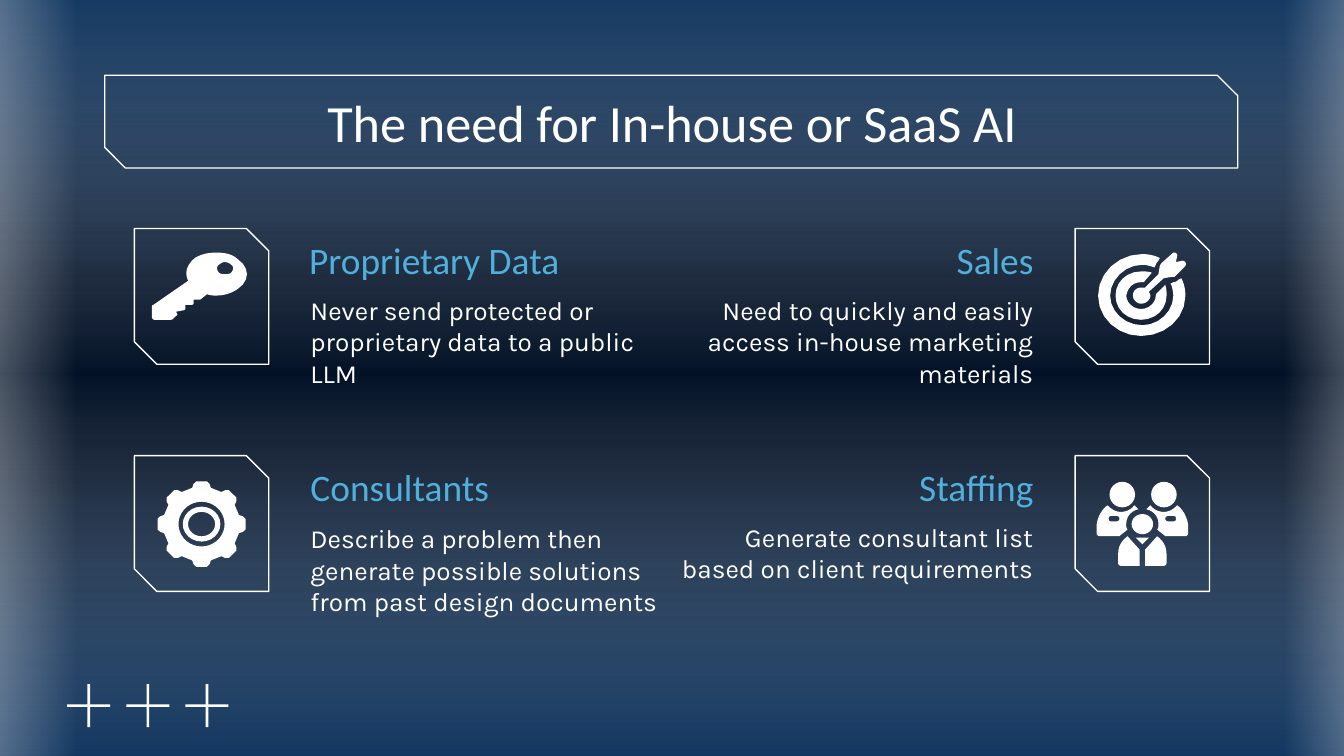
import math
from dataclasses import dataclass

import lxml.etree
import pptx
import pptx.dml.color
import pptx.enum.shapes
import pptx.enum.text
import pptx.oxml.ns
import pptx.util

Inches = pptx.util.Inches
SHAPE = pptx.enum.shapes.MSO_SHAPE
ANCHOR = pptx.enum.text.MSO_ANCHOR
ALIGN = pptx.enum.text.PP_ALIGN
qn = pptx.oxml.ns.qn


@dataclass(frozen=True)
class Theme:
    white: str = "FFFFFF"
    navy: str = "10355F"
    midnight: str = "031126"
    sky: str = "51AFDB"
    heading_font: str = "Calibri"
    body_font: str = "Karla"
    title_size: int = 28
    heading_size: int = 20
    body_size: int = 14


THEME = Theme()

KEY = """M 1.67 1.95 C 1.69 1.95 1.71 1.96 1.72 1.97 C 1.74 1.98 1.74 2.01 1.72 2.03
C 1.71 2.04 1.69 2.04 1.67 2.04 C 1.66 2.04 1.64 2.04 1.63 2.03
C 1.61 2.01 1.61 1.98 1.63 1.97 C 1.64 1.96 1.66 1.95 1.67 1.95
M 1.61 1.88 C 1.55 1.88 1.5 1.89 1.45 1.92 C 1.39 1.97 1.37 2.03 1.4 2.09
L 1.14 2.27 C 1.13 2.27 1.13 2.28 1.13 2.28 L 1.13 2.36 C 1.13 2.37 1.14 2.38 1.15 2.38
L 1.27 2.38 C 1.28 2.38 1.28 2.38 1.29 2.37 L 1.31 2.35 C 1.32 2.35 1.32 2.34 1.32 2.34
L 1.31 2.32 L 1.36 2.31 C 1.37 2.31 1.37 2.31 1.38 2.3 L 1.38 2.27 L 1.41 2.27
C 1.42 2.27 1.44 2.27 1.44 2.26 L 1.44 2.23 L 1.47 2.23 C 1.48 2.23 1.49 2.23 1.49 2.23
L 1.54 2.19 C 1.57 2.2 1.59 2.2 1.61 2.2 C 1.67 2.2 1.73 2.18 1.77 2.15
C 1.86 2.09 1.86 1.99 1.77 1.93 C 1.73 1.89 1.67 1.88 1.61 1.88"""

TARGET = (
    """M 8.74 1.88 C 8.74 1.88 8.73 1.88 8.73 1.88 L 8.64 1.96 C 8.64 1.97 8.63 1.97 8.63 1.98
L 8.62 2.04 L 8.52 2.14 C 8.51 2.14 8.5 2.14 8.49 2.14 C 8.46 2.14 8.43 2.16 8.43 2.2
C 8.43 2.23 8.46 2.26 8.49 2.26 C 8.53 2.26 8.56 2.23 8.56 2.2
C 8.56 2.19 8.55 2.18 8.55 2.17 L 8.66 2.07 L 8.72 2.06 C 8.73 2.06 8.73 2.06 8.74 2.06
L 8.82 1.98 C 8.83 1.96 8.82 1.94 8.8 1.94 L 8.75 1.95 L 8.76 1.9
C 8.76 1.89 8.75 1.88 8.74 1.88""",
    """M 8.49 2.02 C 8.38 2.02 8.3 2.1 8.3 2.2 C 8.3 2.3 8.38 2.38 8.49 2.38
C 8.6 2.38 8.68 2.3 8.68 2.2 C 8.68 2.17 8.68 2.15 8.67 2.12 L 8.6 2.19 L 8.6 2.2
C 8.6 2.25 8.55 2.3 8.49 2.3 C 8.43 2.3 8.38 2.25 8.38 2.2 C 8.39 2.14 8.43 2.1 8.49 2.1
C 8.5 2.1 8.5 2.1 8.51 2.1 L 8.57 2.03 C 8.55 2.02 8.52 2.02 8.49 2.02""",
    """M 8.5 1.89 C 8.32 1.89 8.17 2.03 8.17 2.2 C 8.17 2.37 8.32 2.5 8.49 2.5
C 8.67 2.5 8.82 2.37 8.82 2.2 C 8.82 2.15 8.81 2.11 8.79 2.07 L 8.77 2.08
C 8.76 2.09 8.75 2.1 8.73 2.1 L 8.71 2.11 C 8.72 2.13 8.73 2.17 8.73 2.2
C 8.73 2.32 8.62 2.42 8.5 2.42 C 8.37 2.42 8.26 2.32 8.26 2.2
C 8.26 2.08 8.37 1.97 8.5 1.97 C 8.53 1.97 8.56 1.98 8.59 1.99 L 8.6 1.97
C 8.6 1.96 8.61 1.95 8.62 1.94 L 8.63 1.92 C 8.59 1.9 8.54 1.89 8.5 1.89""",
)

COLLAR = "M 8.45 4 L 8.5 4.05 L 8.55 4 C 8.53 4 8.52 4 8.5 4 C 8.48 4 8.47 4 8.45 4"
JACKET = """M 8.61 3.99 L 8.52 4.09 L 8.52 4.21 L 8.66 4.21 C 8.67 4.21 8.68 4.2 8.68 4.19
L 8.68 4.12 C 8.68 4.06 8.65 4.02 8.61 3.99"""
SHOULDER = """M 8.73 3.84 C 8.75 3.84 8.75 3.85 8.75 3.86 C 8.75 3.87 8.75 3.88 8.73 3.88
L 8.69 3.88 C 8.68 3.88 8.67 3.87 8.67 3.86 C 8.67 3.85 8.68 3.84 8.69 3.84
M 8.76 3.76 C 8.73 3.79 8.7 3.81 8.66 3.81 C 8.62 3.81 8.58 3.79 8.56 3.76
C 8.55 3.77 8.54 3.78 8.53 3.79 C 8.58 3.8 8.62 3.84 8.62 3.9
C 8.62 3.92 8.62 3.93 8.61 3.94 C 8.63 3.96 8.65 3.97 8.67 3.99 L 8.82 3.99
C 8.83 3.99 8.84 3.98 8.84 3.97 L 8.84 3.9 C 8.83 3.84 8.8 3.79 8.76 3.76"""
FAMILY_AXIS = 8.5


def rgb(color):
    return pptx.dml.color.RGBColor.from_string(color)


def set_gradient(fill, owner, angle, stops):
    fill.gradient()
    fill.gradient_angle = angle
    stop_list = next(owner.iter(qn("a:gsLst")))
    for stop in list(stop_list):
        stop_list.remove(stop)
    for position, color, opacity in stops:
        stop = lxml.etree.SubElement(stop_list, qn("a:gs"), pos=str(position * 1000))
        tint = lxml.etree.SubElement(stop, qn("a:srgbClr"), val=color)
        lxml.etree.SubElement(tint, qn("a:alpha"), val=str(opacity * 1000))


def add_glow(slide, box, rotation, stops):
    glow = slide.shapes.add_shape(SHAPE.RECTANGLE, *map(Inches, box))
    glow.shadow.inherit = False
    glow.rotation = rotation
    glow.line.fill.background()
    set_gradient(glow.fill, glow.element, 180, stops)


def add_frame(slide, box, snip):
    frame = slide.shapes.add_shape(SHAPE.SNIP_2_DIAG_RECTANGLE, *map(Inches, box))
    frame.shadow.inherit = False
    frame.adjustments[0] = 0
    frame.adjustments[1] = snip
    frame.fill.background()
    frame.line.color.rgb = rgb(THEME.white)
    frame.line.width = pptx.util.Pt(0.75)


def paint_white(shape):
    shape.shadow.inherit = False
    shape.fill.solid()
    shape.fill.fore_color.rgb = rgb(THEME.white)
    shape.line.fill.background()


def add_solid(slide, kind, center_x, center_y, width, height):
    box = (center_x - width / 2, center_y - height / 2, width, height)
    solid = slide.shapes.add_shape(kind, *map(Inches, box))
    paint_white(solid)
    return solid


def trace(outline, steps=6):
    contours = []
    tokens = iter(outline.split())
    for command in tokens:
        count = 6 if command == "C" else 2
        values = [float(next(tokens)) for _ in range(count)]
        points = list(zip(values[::2], values[1::2]))
        if command == "M":
            contours.append(points)
        elif command == "L":
            contours[-1] += points
        else:
            curve = [contours[-1][-1], *points]
            for step in range(1, steps + 1):
                t = step / steps
                weights = [math.comb(3, i) * t**i * (1 - t) ** (3 - i) for i in range(4)]
                contours[-1].append(tuple(
                    sum(w * p[axis] for w, p in zip(weights, curve)) for axis in (0, 1)))
    return contours


def add_outline(slide, contours):
    contours = [[(Inches(x), Inches(y)) for x, y in contour] for contour in contours]
    builder = slide.shapes.build_freeform(*contours[0][0], scale=1.0)
    for index, contour in enumerate(contours):
        if index:
            builder.move_to(*contour[0])
        builder.add_line_segments(contour[1:], close=True)
    paint_white(builder.convert_to_shape())


def add_gear(slide, x, y):
    def around(angle, radius):
        turn = math.radians(angle)
        return x + 0.33 * radius * math.sin(turn), y - 0.32 * radius * math.cos(turn)

    tooth = [(-14, 0.87), (-11, 0.95), (-7, 1), (7, 1), (11, 0.95), (14, 0.87)]
    rim = [around(45 * k + angle, radius) for k in range(8) for angle, radius in tooth]
    hole = [around(angle, 0.52) for angle in range(0, 360, 10)]
    add_outline(slide, [rim, hole])
    hub = add_solid(slide, SHAPE.DONUT, x, y, 0.28, 0.26)
    hub.adjustments[0] = 0.15


def add_family(slide):
    add_solid(slide, SHAPE.OVAL, 8.5, 3.9, 0.16, 0.15)
    for head_x in (8.35, 8.66):
        add_solid(slide, SHAPE.OVAL, head_x, 3.68, 0.19, 0.19)
    add_outline(slide, trace(COLLAR))
    for outline in (JACKET, SHOULDER):
        right = trace(outline)
        left = [[(2 * FAMILY_AXIS - x, y) for x, y in contour] for contour in right]
        add_outline(slide, right)
        add_outline(slide, left)


def write(holder, box, text, size, color, font, align, anchor, side_inset=0):
    holder.left, holder.top, holder.width, holder.height = map(Inches, box)
    frame = holder.text_frame
    frame.word_wrap = True
    frame.auto_size = pptx.enum.text.MSO_AUTO_SIZE.NONE
    frame.vertical_anchor = anchor
    frame.margin_left = frame.margin_right = Inches(side_inset)
    frame.margin_top = frame.margin_bottom = Inches(0.1)
    frame.text = text
    line = frame.paragraphs[0]
    properties = line._p.get_or_add_pPr()
    properties.set("marL", "0")
    properties.set("indent", "0")
    lxml.etree.SubElement(properties, qn("a:buNone"))
    line.alignment = align
    line.space_before = pptx.util.Pt(0)
    line.font.size = pptx.util.Pt(size)
    line.font.bold = False
    line.font.name = font
    line.font.color.rgb = rgb(color)


def add_topic(slide, heading_holder, heading, heading_box, body, body_box, align):
    write(heading_holder, heading_box, heading, THEME.heading_size, THEME.sky,
          THEME.heading_font, align, ANCHOR.BOTTOM)
    body_holder = slide.shapes.add_textbox(*map(Inches, body_box))
    write(body_holder, body_box, body, THEME.body_size, THEME.white,
          THEME.body_font, align, ANCHOR.TOP)


def main():
    deck = pptx.Presentation()
    deck.slide_width = Inches(10)
    deck.slide_height = deck.slide_width * 9 // 16
    slide = deck.slides.add_slide(deck.slide_layouts[4])
    set_gradient(slide.background.fill, slide.element, 90, [
        (0, THEME.navy, 100), (37, THEME.midnight, 100),
        (63, THEME.midnight, 100), (100, THEME.navy, 100)])

    add_glow(slide, (2.2, -2.33, 5.81, 10.21), 270,
             [(0, THEME.navy, 59), (50, THEME.white, 0), (100, THEME.navy, 59)])
    edge = [(0, THEME.white, 47), (100, THEME.white, 0)]
    add_glow(slide, (-0.41, -0.09, 0.98, 5.8), 180, edge)
    add_glow(slide, (9.56, -0.13, 0.85, 5.8), 0, edge)

    add_frame(slide, (0.78, 0.56, 8.43, 0.69), 0.221)
    for left in (1, 8):
        for top in (1.7, 3.39):
            add_frame(slide, (left, top, 1, 1.01), 0.167)

    title = slide.shapes.title
    headings = [holder for holder in slide.placeholders if holder.placeholder_format.idx]
    for holder in [title, *headings]:
        slide.shapes._spTree.append(holder.element)
    write(title, (0.81, 0.59, 8.38, 0.63), "The need for In-house or SaaS AI",
          THEME.title_size, THEME.white, THEME.heading_font, ALIGN.CENTER, ANCHOR.MIDDLE, 0.1)
    topics = [
        ("Proprietary Data", (2.3, 1.7, 2.92, 0.5),
         "Never send protected or proprietary data to a public LLM",
         (2.31, 2.09, 2.53, 0.53), ALIGN.LEFT),
        ("Sales", (5.15, 1.7, 2.54, 0.5),
         "Need to quickly and easily access in-house marketing materials",
         (4.73, 2.09, 2.96, 0.83), ALIGN.RIGHT),
        ("Consultants", (2.31, 3.39, 2.84, 0.5),
         "Describe a problem then generate possible solutions from past design documents",
         (2.31, 3.79, 2.69, 0.83), ALIGN.LEFT),
        ("Staffing", (4.62, 3.39, 3.07, 0.5),
         "Generate consultant list based on client requirements",
         (5, 3.78, 2.69, 0.53), ALIGN.RIGHT),
    ]
    for holder, topic in zip(headings, topics):
        add_topic(slide, holder, *topic)

    for plus_x in (0.66, 1.1, 1.54):
        add_solid(slide, SHAPE.RECTANGLE, plus_x, 5.25, 0.32, 0.02)
        add_solid(slide, SHAPE.RECTANGLE, plus_x, 5.25, 0.02, 0.32)
    add_gear(slide, 1.5, 3.9)
    for outline in (KEY, *TARGET):
        add_outline(slide, trace(outline))
    add_family(slide)
    deck.save("out.pptx")


if __name__ == "__main__":
    main()
